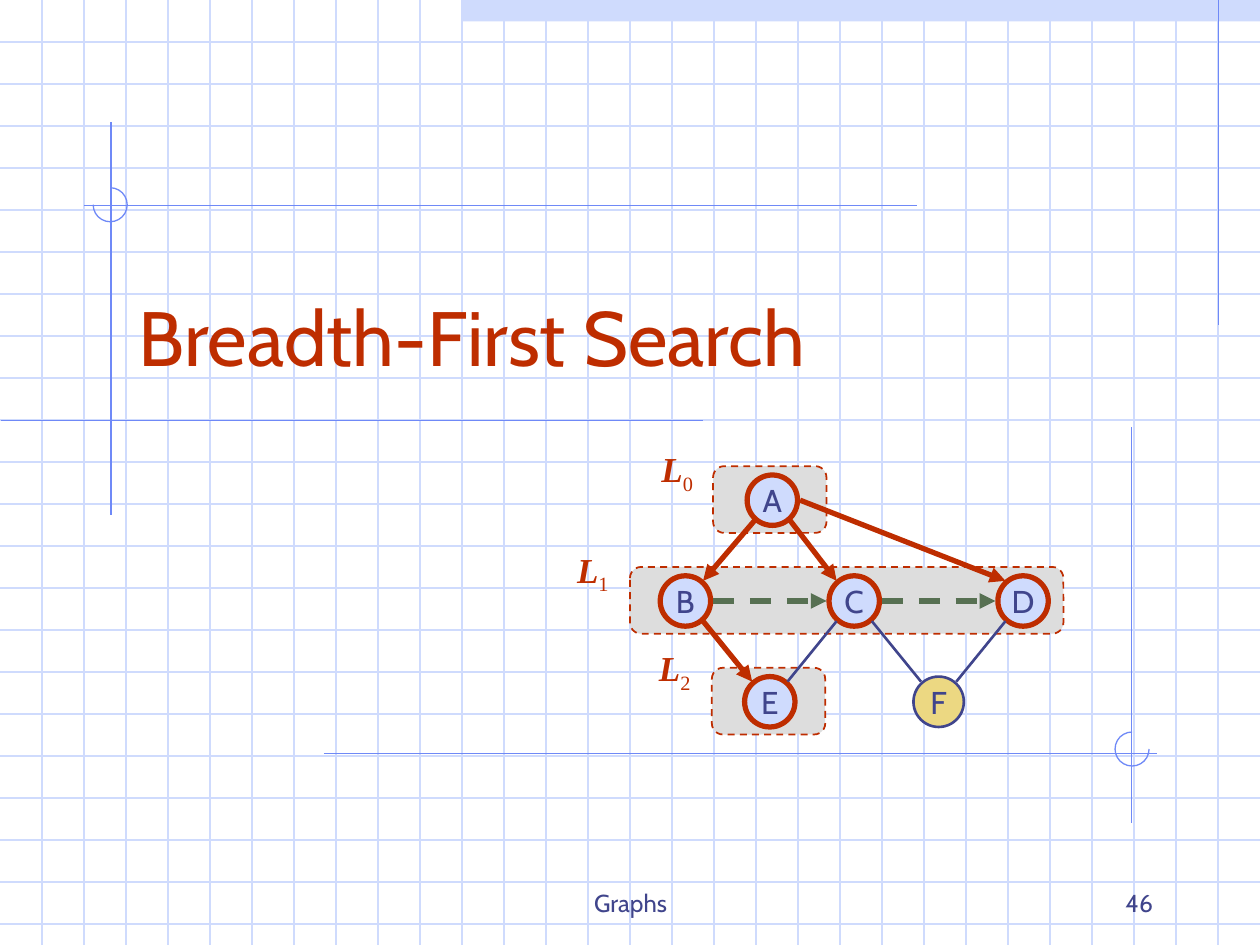
from typing import NamedTuple, Optional

from lxml import etree
from pptx import Presentation
from pptx.dml.color import RGBColor
from pptx.enum import dml, shapes, text
from pptx.oxml.ns import qn
from pptx.util import Inches, Pt

PALE = RGBColor(0xCF, 0xDB, 0xFD)
BLUE = RGBColor(0x6F, 0x89, 0xF7)
RED = RGBColor(0xBE, 0x2D, 0x00)
NAVY = RGBColor(0x40, 0x45, 0x8C)
GREEN = RGBColor(0x57, 0x70, 0x52)
YELLOW = RGBColor(0xEC, 0xD8, 0x82)
GREY = RGBColor(0xDD, 0xDD, 0xDD)

WIDTH, HEIGHT = 10, 7.5
FONT, SERIF = "Cabin", "Times New Roman"
NODE_SIZE = 0.4
DIAG_X, DIAG_Y, SIDE = 0.14, 0.16, 0.22  # edge ends, from a node's centre


class Level(NamedTuple):
    index: int
    box: tuple[float, float, float, float]
    label: tuple[float, float]


class Node(NamedTuple):
    x: float
    y: float
    visited: bool = True


class EdgeStyle(NamedTuple):
    color: RGBColor
    width: float
    arrow: bool = False
    dashed: bool = False


class Edge(NamedTuple):
    start: str
    end: str
    style: EdgeStyle
    from_side: bool = False  # leaves the start node at its right side


DISCOVERY = EdgeStyle(RED, 3, arrow=True)
CROSS = EdgeStyle(GREEN, 3, arrow=True, dashed=True)
UNEXPLORED = EdgeStyle(NAVY, 1.5)
GUIDE = EdgeStyle(BLUE, 0.75)
GRID = EdgeStyle(PALE, 0.75)

LEVELS = [
    Level(2, (5.65, 5.3, 0.9, 0.53), (5.1, 5.08)),
    Level(1, (5, 4.5, 3.44, 0.53), (4.45, 4.3)),
    Level(0, (5.66, 3.7, 0.9, 0.53), (5.12, 3.5)),
]
NODES = {
    "A": Node(6.13, 3.97),
    "B": Node(5.44, 4.77),
    "C": Node(6.78, 4.77),
    "D": Node(8.12, 4.77),
    "E": Node(6.11, 5.57),
    "F": Node(7.45, 5.57, visited=False),
}
EDGES = [
    Edge("A", "B", DISCOVERY),
    Edge("A", "C", DISCOVERY),
    Edge("A", "D", DISCOVERY, from_side=True),
    Edge("B", "E", DISCOVERY),
    Edge("B", "C", CROSS),
    Edge("C", "D", CROSS),
    Edge("C", "E", UNEXPLORED),
    Edge("C", "F", UNEXPLORED),
    Edge("D", "F", UNEXPLORED),
]
GUIDES = [
    (9.67, 0, 9.67, 2.58),
    (0.88, 0.97, 0.88, 4.09),
    (0.01, 3.34, 5.58, 3.34),
    (0.67, 1.63, 7.28, 1.63),
    (2.57, 5.98, 9.18, 5.98),
    (8.98, 3.39, 8.98, 6.53),
]


def add_line(s, x1: float, y1: float, x2: float, y2: float, style: EdgeStyle) -> None:
    c = s.shapes.add_connector(shapes.MSO_CONNECTOR.STRAIGHT,
                               Inches(x1), Inches(y1), Inches(x2), Inches(y2))
    c.line.color.rgb = style.color
    c.line.width = Pt(style.width)
    if style.dashed:
        c.line.dash_style = dml.MSO_LINE.DASH
    if style.arrow:
        etree.SubElement(c.line._get_or_add_ln(), qn("a:tailEnd"), type="triangle")
    etree.SubElement(c._element.spPr, qn("a:effectLst"))


def add_shape(s, kind, x: float, y: float, w: float, h: float,
              fill: Optional[RGBColor], line: Optional[RGBColor], width: float = 1):
    sp = s.shapes.add_shape(kind, Inches(x), Inches(y), Inches(w), Inches(h))
    sp.shadow.inherit = False
    if fill is None:
        sp.fill.background()
    else:
        sp.fill.solid()
        sp.fill.fore_color.rgb = fill
    if line is None:
        sp.line.fill.background()
    else:
        sp.line.color.rgb = line
        sp.line.width = Pt(width)
    return sp


def add_arc(s, x: float, y: float, start: int, end: int) -> None:
    """Three-quarter circle, drawn clockwise between two angles in degrees."""
    sp = add_shape(s, shapes.MSO_SHAPE.ARC, x, y, 0.27, 0.27, None, BLUE, 0.75)
    sp.adjustments[0] = start * 0.6
    sp.adjustments[1] = end * 0.6


def write(tf, content: str, size: float, color: RGBColor, align, anchor, wrap=True) -> None:
    tf.text = content
    tf.word_wrap = wrap
    tf.auto_size = text.MSO_AUTO_SIZE.NONE
    tf.vertical_anchor = anchor
    p = tf.paragraphs[0]
    p.alignment = align
    f = p.runs[0].font
    f.name, f.size, f.color.rgb = FONT, Pt(size), color


def add_background(s) -> None:
    add_shape(s, shapes.MSO_SHAPE.RECTANGLE, 3.67, 0, 6.33, 0.17, PALE, None)
    for i in range(1, 23):
        add_line(s, 0, i / 3, WIDTH, i / 3, GRID)
    for i in range(1, 30):
        add_line(s, i / 3, 0, i / 3, HEIGHT, GRID)
    for guide in GUIDES:
        add_line(s, *guide, GUIDE)
    add_arc(s, 0.74, 1.49, 270, 180)
    add_arc(s, 8.85, 5.81, 0, 270)


def add_node(s, name: str, node: Node) -> None:
    fill, line, width = (PALE, RED, 3) if node.visited else (YELLOW, NAVY, 1.5)
    sp = add_shape(s, shapes.MSO_SHAPE.OVAL, node.x - NODE_SIZE / 2, node.y - NODE_SIZE / 2,
                   NODE_SIZE, NODE_SIZE, fill, line, width)
    write(sp.text_frame, name, 18, NAVY, text.PP_ALIGN.CENTER,
          text.MSO_ANCHOR.MIDDLE, wrap=False)


def add_edge(s, edge: Edge) -> None:
    a, b = NODES[edge.start], NODES[edge.end]
    sign = 1 if b.x > a.x else -1
    dx, dy = (SIDE, 0) if a.y == b.y else (DIAG_X, DIAG_Y)
    start = (a.x + SIDE, a.y) if edge.from_side else (a.x + sign * dx, a.y + dy)
    add_line(s, *start, b.x - sign * dx, b.y - dy, edge.style)


def add_level_label(s, level: Level) -> None:
    x, y = level.label
    tf = s.shapes.add_textbox(Inches(x), Inches(y), Inches(0.51), Inches(0.48)).text_frame
    tf.word_wrap = True
    p = tf.paragraphs[0]
    p.alignment = text.PP_ALIGN.CENTER
    for content, is_letter in (("L", True), (str(level.index), False)):
        r = p.add_run()
        r.text = content
        f = r.font
        f.name, f.size, f.color.rgb = SERIF, Pt(20), RED
        f.bold = f.italic = is_letter
        if not is_letter:
            r._r.get_or_add_rPr().set("baseline", "-25000")


def add_footer(s, content: str, x: float, w: float, align) -> None:
    tb = s.shapes.add_textbox(Inches(x), Inches(6.83), Inches(w), Inches(0.5))
    write(tb.text_frame, content, 14, NAVY, align, text.MSO_ANCHOR.BOTTOM)


def main() -> None:
    prs = Presentation()
    prs.slide_width, prs.slide_height = Inches(WIDTH), Inches(HEIGHT)
    s = prs.slides.add_slide(prs.slide_layouts[5])
    add_background(s)

    # Title, brought in front of the grid
    title = s.shapes.title
    title.left, title.top, title.width, title.height = map(Inches, (1, 1.83, 8.5, 1.25))
    write(title.text_frame, "Breadth-First Search", 44, RED,
          text.PP_ALIGN.LEFT, text.MSO_ANCHOR.BOTTOM)
    s.shapes._spTree.append(title._element)

    # Graph: levels, nodes, edges, level labels
    for level in LEVELS:
        sp = add_shape(s, shapes.MSO_SHAPE.ROUNDED_RECTANGLE, *level.box, GREY, RED)
        sp.line.dash_style = dml.MSO_LINE.DASH
    for name, node in NODES.items():
        add_node(s, name, node)
    for edge in EDGES:
        add_edge(s, edge)
    for level in LEVELS:
        add_level_label(s, level)

    # Footer
    add_footer(s, "Graphs", 3.42, 3.17, text.PP_ALIGN.CENTER)
    add_footer(s, "46", 7.17, 2.08, text.PP_ALIGN.RIGHT)
    prs.save("out.pptx")


if __name__ == "__main__":
    main()
